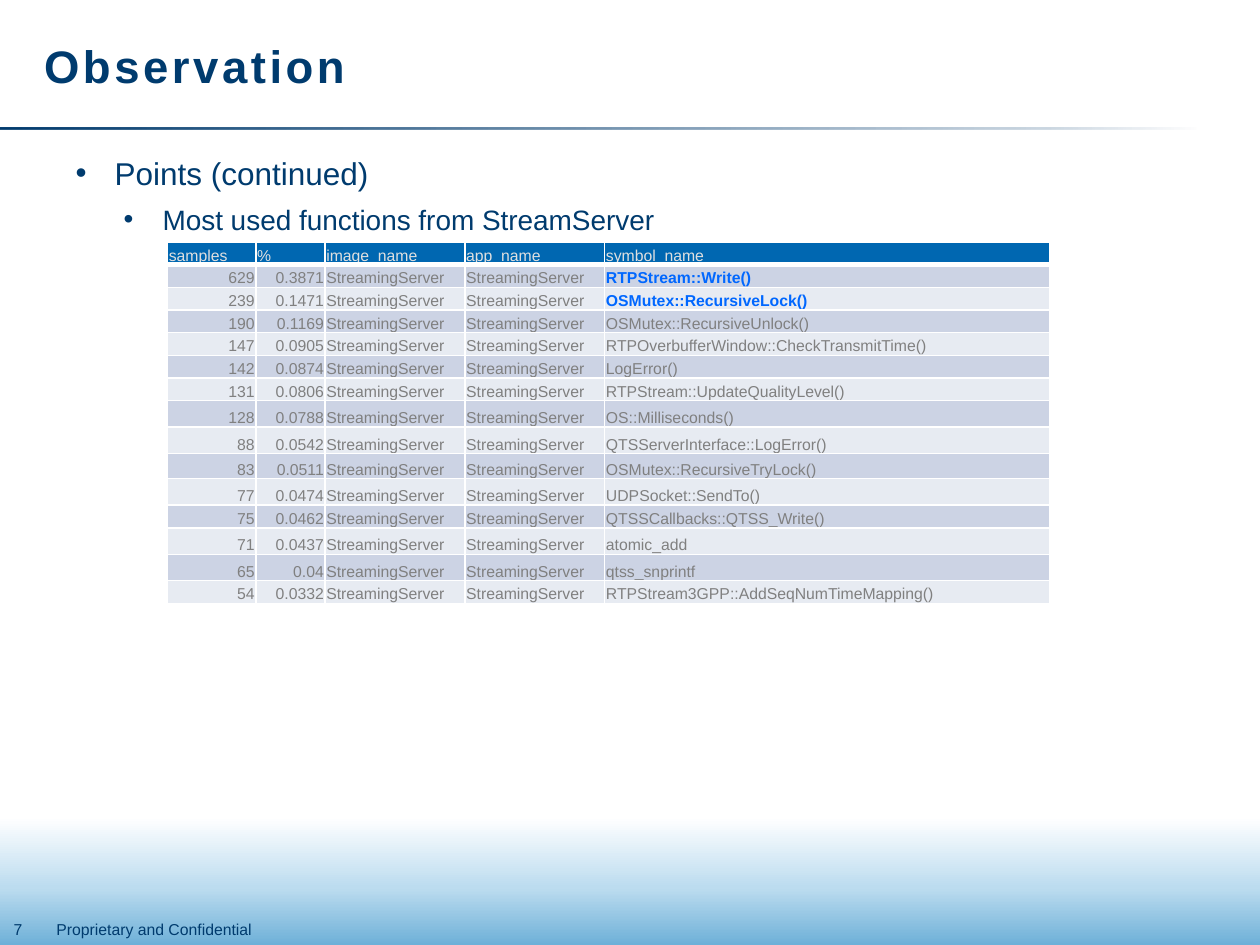
from lxml import etree
from pptx import Presentation
from pptx.dml.color import RGBColor
from pptx.enum.shapes import MSO_SHAPE as Shape
from pptx.enum.text import MSO_ANCHOR as Anchor, MSO_AUTO_SIZE as AutoSize, PP_ALIGN as Align
from pptx.oxml import parse_xml
from pptx.oxml.ns import nsdecls, qn
from pptx.util import Inches, Pt

NAVY, GRAY, HIGHLIGHT, WHITE = "003B6E", "808080", "0067FF", "FFFFFF"
HEADER_FILL, HEADER_TEXT = "0067B1", "E0E0E0"
BANDS = ("CCD3E4", "E7EBF2")


def write(para, text, size=9, color=NAVY, bold=False, align=Align.LEFT):
    span = para.add_run()
    span.text = text
    span.font.name, span.font.size, span.font.bold = "Arial", Pt(size), bold
    span.font.color.rgb = RGBColor.from_string(color)
    para.alignment = align
    return span


def add_gradient_band(page, left, top, width, height, stops, angle):
    """Stops are (position %, colour, opacity %); angle is clockwise degrees."""
    band = page.shapes.add_shape(
        Shape.RECTANGLE, Inches(left), Inches(top), Inches(width), Inches(height))
    band.shadow.inherit = False
    band.line.fill.background()
    marks = "".join(
        f'<a:gs pos="{pos * 1000}"><a:srgbClr val="{color}">'
        f'<a:alpha val="{opacity * 1000}"/></a:srgbClr></a:gs>'
        for pos, color, opacity in stops)
    gradient = parse_xml(
        f'<a:gradFill {nsdecls("a")} rotWithShape="1"><a:gsLst>{marks}</a:gsLst>'
        f'<a:lin ang="{angle * 60000}" scaled="0"/></a:gradFill>')
    band._element.spPr.find(qn("a:prstGeom")).addnext(gradient)


deck = Presentation()
deck.slide_width, deck.slide_height = Inches(10), Inches(7.5)
page = deck.slides.add_slide(deck.slide_layouts[1])

# Footer glow and title rule
add_gradient_band(page, 0, 5.75, 10, 1.75,
                  [(0, "6EB0D8", 100), (26, "BCDCEF", 100), (58, WHITE, 100),
                   (100, WHITE, 100)], 270)
add_gradient_band(page, 0, 1.01, 9.5, 0.02,
                  [(0, NAVY, 100), (88, NAVY, 20), (100, NAVY, 0)], 0)

# Footer
for left, width, text, wrap in ((0.35, 1.8, "Proprietary and Confidential", False),
                                (0.01, 0.49, "7", True)):
    box = page.shapes.add_textbox(Inches(left), Inches(7.25), Inches(width), Inches(0.25))
    box.text_frame.word_wrap = wrap
    write(box.text_frame.paragraphs[0], text)

# Title
title = page.shapes.title
title.left, title.top, title.width, title.height = map(Inches, (0.25, 0.05, 9, 0.95))
title.text_frame.vertical_anchor = Anchor.MIDDLE
title.text_frame.auto_size = AutoSize.NONE
para = title.text_frame.paragraphs[0]
para.line_spacing = Pt(30)
span = write(para, "Observation", size=26, bold=True)
span.font._element.set("spc", "200")

# Bullets
body = page.placeholders[1]
body.left, body.top, body.width, body.height = map(Inches, (0.5, 1.17, 9.5, 6.08))
frame = body.text_frame
frame.auto_size = AutoSize.NONE
bullets = (("Points (continued)", 18, 0.31), ("Most used functions from StreamServer", 16, 0.69))
for level, (text, size, indent) in enumerate(bullets):
    para = frame.add_paragraph() if level else frame.paragraphs[0]
    para.level = level
    para.space_before = Pt(6)
    write(para, text, size=size)
    props = para._element.get_or_add_pPr()
    props.set("marL", str(Inches(indent)))
    props.set("indent", str(-Inches(0.31)))
    etree.SubElement(props, qn("a:buFont")).set("typeface", "Arial")
    etree.SubElement(props, qn("a:buChar")).set("char", "•")

# Function profile table
header = ("samples", "%", "image_name", "app_name", "symbol_name")
profile = (
    ("629", "0.3871", "RTPStream::Write()"),
    ("239", "0.1471", "OSMutex::RecursiveLock()"),
    ("190", "0.1169", "OSMutex::RecursiveUnlock()"),
    ("147", "0.0905", "RTPOverbufferWindow::CheckTransmitTime()"),
    ("142", "0.0874", "LogError()"),
    ("131", "0.0806", "RTPStream::UpdateQualityLevel()"),
    ("128", "0.0788", "OS::Milliseconds()"),
    ("88", "0.0542", "QTSServerInterface::LogError()"),
    ("83", "0.0511", "OSMutex::RecursiveTryLock()"),
    ("77", "0.0474", "UDPSocket::SendTo()"),
    ("75", "0.0462", "QTSSCallbacks::QTSS_Write()"),
    ("71", "0.0437", "atomic_add"),
    ("65", "0.04", "qtss_snprintf"),
    ("54", "0.0332", "RTPStream3GPP::AddSeqNumTimeMapping()"),
)
rows = [header] + [(samples, share, "StreamingServer", "StreamingServer", symbol)
                   for samples, share, symbol in profile]
column_widths = (0.7, 0.55, 1.11, 1.11, 3.53)
row_heights = [0.18] * 7 + [0.21, 0.21, 0.2, 0.21, 0.18, 0.21, 0.21, 0.18]
table = page.shapes.add_table(len(rows), len(header), Inches(1.33), Inches(1.92),
                              Inches(7), Inches(2.87)).table
for column, width in zip(table.columns, column_widths):
    column.width = Inches(width)
for row, height in zip(table.rows, row_heights):
    row.height = Inches(height)

for r, values in enumerate(rows):
    for c, text in enumerate(values):
        cell = table.cell(r, c)
        cell.margin_left = cell.margin_top = cell.margin_right = Inches(0.01)
        cell.margin_bottom = 0
        cell.vertical_anchor = Anchor.BOTTOM
        highlighted = r in (1, 2) and c == 4
        color = HEADER_TEXT if r == 0 else HIGHLIGHT if highlighted else GRAY
        write(cell.text_frame.paragraphs[0], text, color=color, bold=highlighted,
              align=Align.RIGHT if r and c < 2 else Align.LEFT)
        props = cell._tc.get_or_add_tcPr()
        for side in ("lnL", "lnR", "lnT", "lnB"):
            thick = (r == 0 and side == "lnB") or (r == 1 and side == "lnT")
            props.append(parse_xml(
                f'<a:{side} {nsdecls("a")} w="{Pt(3 if thick else 1)}"><a:solidFill>'
                f'<a:srgbClr val="{WHITE}"/></a:solidFill></a:{side}>'))
        cell.fill.solid()
        cell.fill.fore_color.rgb = RGBColor.from_string(
            BANDS[(r - 1) % 2] if r else HEADER_FILL)

deck.save("out.pptx")
